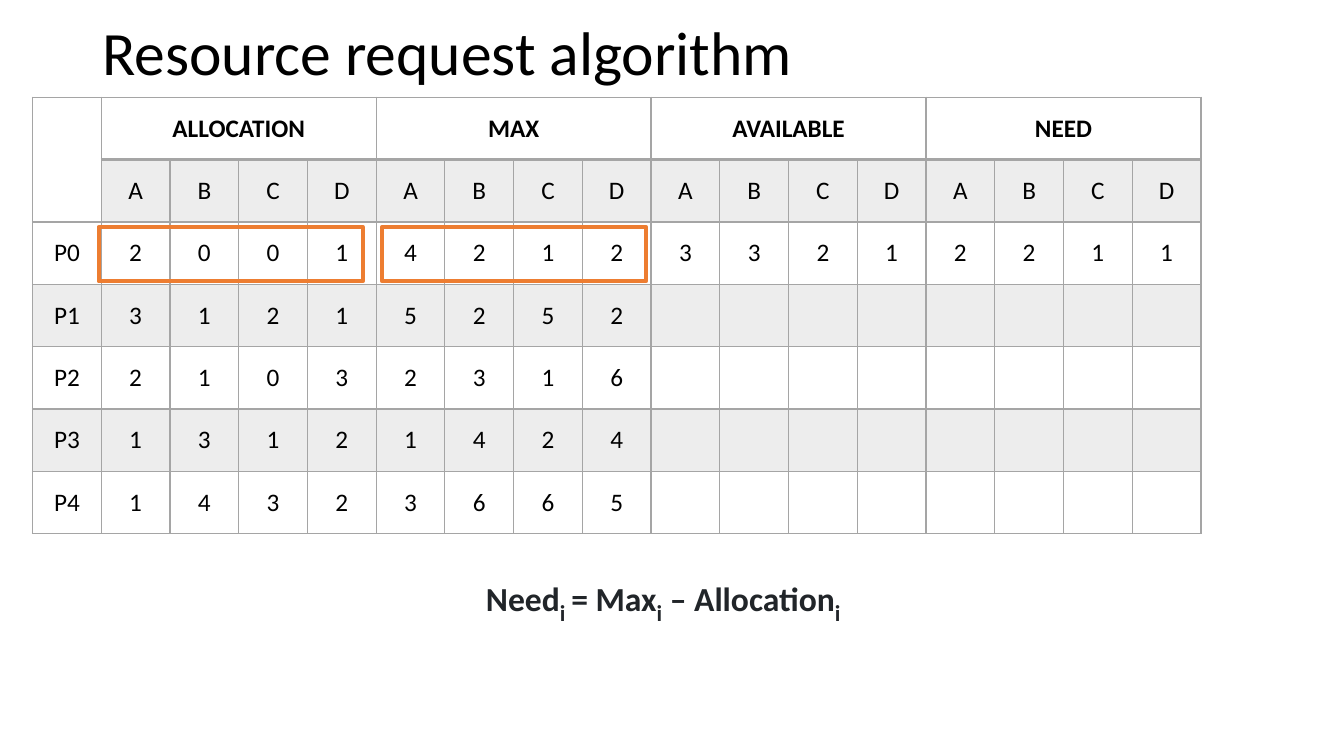
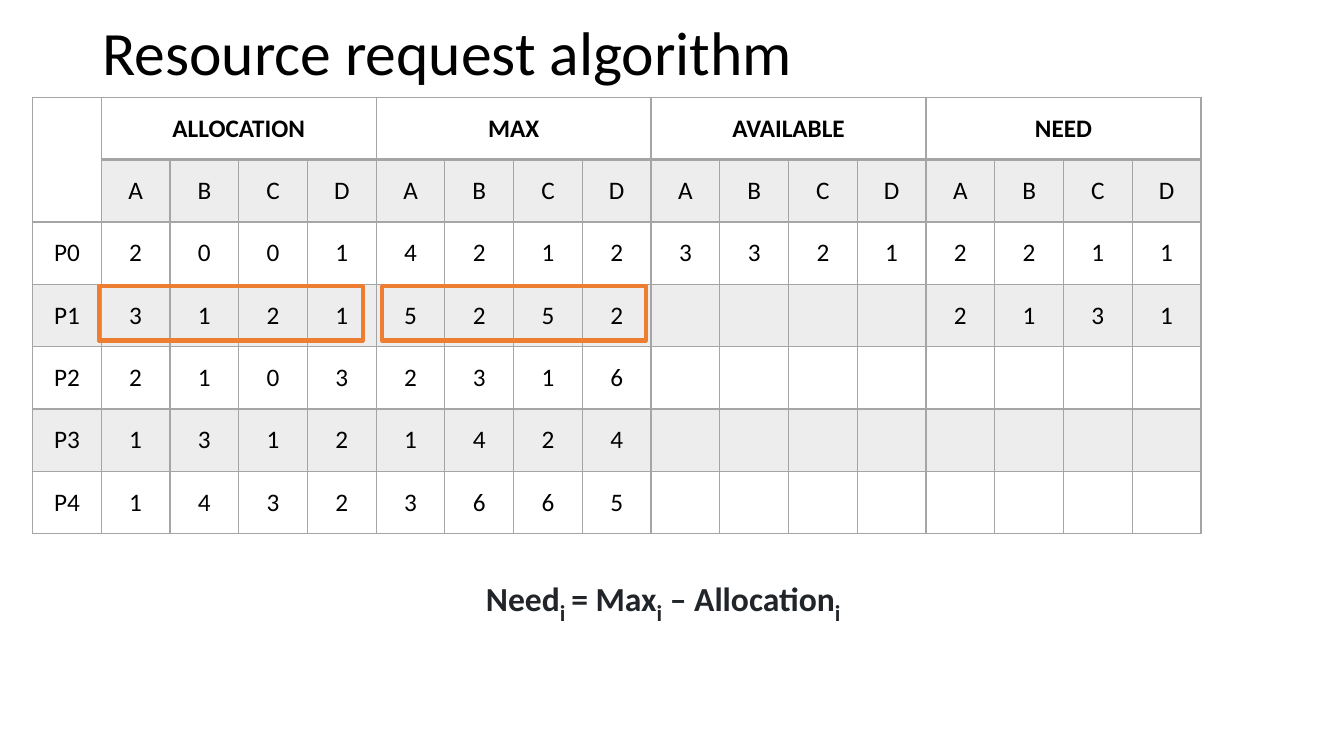
import lxml.etree
import pptx
import pptx.dml.color
import pptx.enum.shapes
import pptx.enum.text
import pptx.oxml.ns
import pptx.util

Cm = pptx.util.Cm
Pt = pptx.util.Pt
ALIGN = pptx.enum.text.PP_ALIGN
ANCHOR = pptx.enum.text.MSO_ANCHOR
AUTO_SIZE = pptx.enum.text.MSO_AUTO_SIZE

BLACK, TEXT_GREY, GRID_GREY = "000000", "212529", "A5A5A5"
BAND_GREY, ORANGE = "EDEDED", "ED7D31"

TITLE_BOX = (2.33, 0.38, 29.21, 2.06)
TABLE_BOX = (0.82, 2.45, 29.46, 11)
FORMULA_BOX = (0.89, 14.15, 31.65, 1.27)
MARKER_LEFTS = (8.81, 1.67)
MARKER_SIZE = (6.65, 1.37)

GROUPS = ["ALLOCATION", "MAX", "AVAILABLE", "NEED"]
RESOURCES = "ABCD"
ALLOCATION = ["2001", "3121", "2103", "1312", "1432"]
MAXIMUM = ["4212", "5252", "2316", "1424", "3665"]
AVAILABLE = ["3321"]
NEED = ["2211", "2131"]
FORMULA = [("Need", 24, False), ("i", 28, True), (" ", 32, True), ("= Max", 24, False),
           ("i", 28, True), (" – Allocation", 24, False), ("i", 28, True)]


def color(hex_value):
    """Turn a hex string into an RGB colour."""
    return pptx.dml.color.RGBColor.from_string(hex_value)


def set_values(target, values):
    """Set each attribute of the target from a dict of format values."""
    for name, value in values.items():
        setattr(target, name, value)


def add_run(paragraph, text, size, hex_value, bold=False, subscript=False):
    """Append a formatted run to a paragraph."""
    run = paragraph.add_run()
    run.text = text
    set_values(run.font, {"name": "Calibri", "size": Pt(size), "bold": bold})
    run.font.color.rgb = color(hex_value)
    if subscript:
        run.font._element.set("baseline", "-25000")


def add_text_box(slide, box, frame_values, paragraph_values):
    """Add a wrapping text box and return its first paragraph."""
    frame = slide.shapes.add_textbox(*map(Cm, box)).text_frame
    set_values(frame, {"word_wrap": True, **frame_values})
    paragraph = frame.paragraphs[0]
    set_values(paragraph, paragraph_values)
    return paragraph


def add_title(slide, box):
    """Add the slide title."""
    paragraph = add_text_box(slide, box, {"vertical_anchor": ANCHOR.MIDDLE}, {"line_spacing": 0.9})
    add_run(paragraph, "Resource request algorithm", 44, BLACK)


def add_formula(slide, box):
    """Add the formula for the need of a process."""
    paragraph = add_text_box(slide, box, {"auto_size": AUTO_SIZE.SHAPE_TO_FIT_TEXT},
                             {"alignment": ALIGN.CENTER})
    for text, size, subscript in FORMULA:
        add_run(paragraph, text, size, TEXT_GREY, True, subscript)


def add_border(cell, side, width):
    """Draw one side of a table cell."""
    properties = cell._tc.get_or_add_tcPr()
    line = lxml.etree.SubElement(properties, pptx.oxml.ns.qn(f"a:ln{side}"), w=str(Pt(width)))
    fill = lxml.etree.SubElement(line, pptx.oxml.ns.qn("a:solidFill"))
    lxml.etree.SubElement(fill, pptx.oxml.ns.qn("a:srgbClr"), val=GRID_GREY)


def format_cell(cell, row, column, text):
    """Give a cell its borders, band and text."""
    header_end = 1 if column == 0 else 0
    widths = {"L": 1, "R": 1, "T": 2 if row == header_end + 1 else 1,
              "B": 2 if row in (0, header_end) else 1}
    for side, width in widths.items():
        add_border(cell, side, width)
    if row % 2 and (row, column) != (1, 0):
        cell.fill.solid()
        cell.fill.fore_color.rgb = color(BAND_GREY)
    else:
        cell.fill.background()
    cell.vertical_anchor = ANCHOR.MIDDLE
    if text:
        paragraph = cell.text_frame.paragraphs[0]
        paragraph.alignment = ALIGN.CENTER
        add_run(paragraph, text, 18, BLACK, row == 0)


def table_rows(need_count):
    """List the table texts with the first needs filled in."""
    group_row = [""]
    for group in GROUPS:
        group_row += [group, "", "", ""]
    rows = [group_row, ["", *RESOURCES * len(GROUPS)]]
    for index, (allocation, maximum) in enumerate(zip(ALLOCATION, MAXIMUM)):
        available = "".join(AVAILABLE[index:index + 1])
        need = "".join(NEED[:need_count][index:index + 1])
        digits = allocation + maximum + available.ljust(4) + need.ljust(4)
        rows.append([f"P{index}", *(digit.strip() for digit in digits)])
    return rows


def add_resource_table(slide, box, need_count):
    """Add the table of processes and resources."""
    rows = table_rows(need_count)
    row_count, column_count = len(rows), len(rows[0])
    left, top, width, height = map(Cm, box)
    table = slide.shapes.add_table(row_count, column_count, left, top, width, height).table
    set_values(table, {"first_row": False, "horz_banding": False})
    for column in table.columns:
        column.width = width // column_count
    for row in table.rows:
        row.height = height // row_count
    for row, texts in enumerate(rows):
        for column, text in enumerate(texts):
            format_cell(table.cell(row, column), row, column, text)
    table.cell(0, 0).merge(table.cell(1, 0))
    for column in range(1, column_count, len(RESOURCES)):
        table.cell(0, column).merge(table.cell(0, column + len(RESOURCES) - 1))


def add_markers(slide, box, top):
    """Outline the allocation and maximum of one process in the table."""
    for left in MARKER_LEFTS:
        shape = slide.shapes.add_shape(
            pptx.enum.shapes.MSO_SHAPE.RECTANGLE,
            Cm(box[0] + left), Cm(box[1] + top), *map(Cm, MARKER_SIZE))
        shape.shadow.inherit = False
        shape.fill.background()
        shape.line.color.rgb = color(ORANGE)
        shape.line.width = Pt(3)


def add_step_slide(presentation, need_count, marker_top):
    """Add one step of the need calculation."""
    slide = presentation.slides.add_slide(presentation.slide_layouts[6])
    add_title(slide, TITLE_BOX)
    add_resource_table(slide, TABLE_BOX, need_count)
    add_formula(slide, FORMULA_BOX)
    add_markers(slide, TABLE_BOX, marker_top)


def main():
    """Build and save the presentation."""
    presentation = pptx.Presentation()
    set_values(presentation, {"slide_width": Cm(33.87), "slide_height": Cm(19.05)})
    for need_count, marker_top in [(1, 3.27), (2, 4.76)]:
        add_step_slide(presentation, need_count, marker_top)
    presentation.save("out.pptx")


if __name__ == "__main__":
    main()
